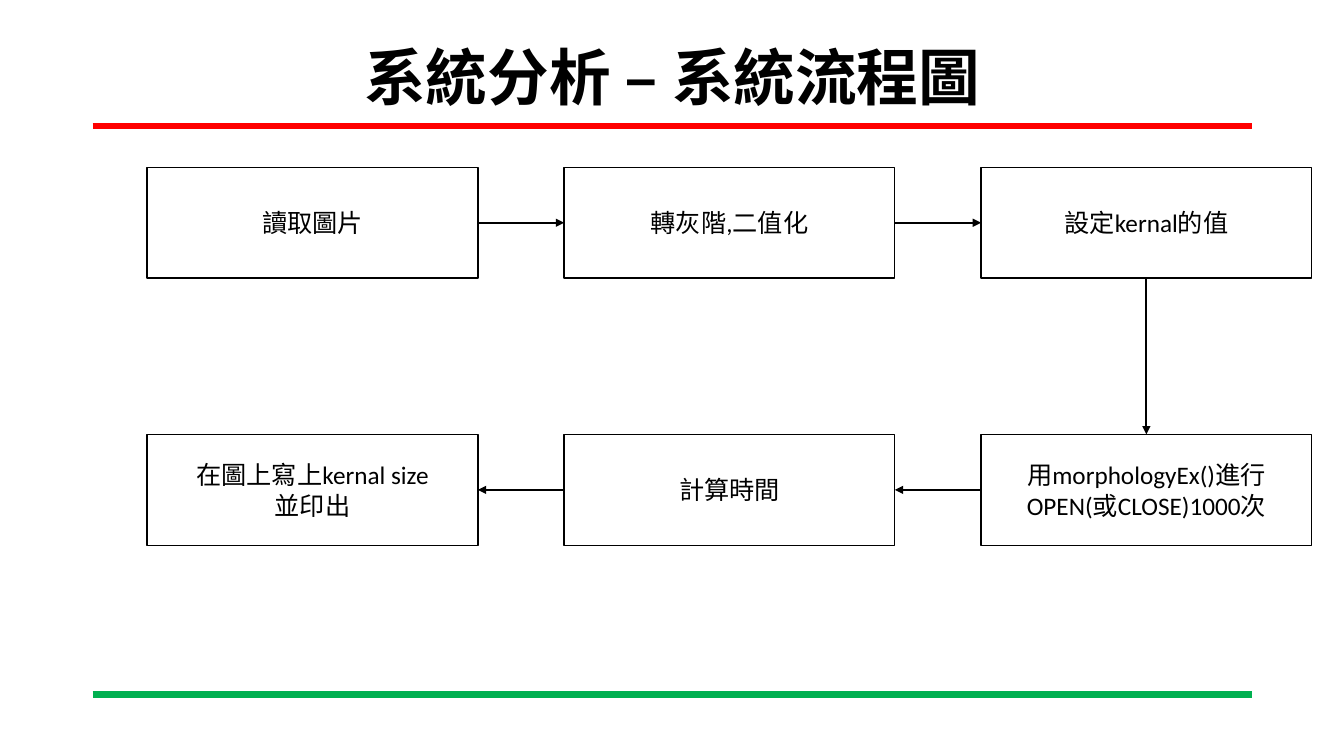
"""Build the system flowchart slide: six steps running out and back in two rows."""
from lxml import etree
from pptx import Presentation
from pptx.dml.color import RGBColor
from pptx.enum.shapes import MSO_CONNECTOR, MSO_SHAPE
from pptx.enum.text import MSO_ANCHOR, PP_ALIGN
from pptx.oxml.ns import qn
from pptx.util import Inches, Pt

STRAIGHT = MSO_CONNECTOR.STRAIGHT
RECTANGLE = MSO_SHAPE.RECTANGLE
MIDDLE = MSO_ANCHOR.MIDDLE
CENTER = PP_ALIGN.CENTER
TOP, LEFT, BOTTOM, RIGHT = range(4)

COLORS = {"ink": "000000", "paper": "FFFFFF", "header": "FF0000", "footer": "00B050"}


def add_line(start, end, color, width):
    line = slide.shapes.add_connector(STRAIGHT, *map(Inches, start + end))
    line.line.color.rgb = RGBColor.from_string(COLORS[color])
    line.line.width = Pt(width)
    etree.SubElement(line._element.spPr, qn("a:effectLst"))
    return line


def write_text(frame, text, font_name, size, bold=False):
    frame.word_wrap = True
    frame.vertical_anchor = MIDDLE
    frame.text = text
    for paragraph in frame.paragraphs:
        paragraph.alignment = CENTER
        paragraph.font.name = font_name
        paragraph.font.size = Pt(size)
        paragraph.font.bold = bold
        paragraph.font.color.rgb = RGBColor.from_string(COLORS["ink"])


prs = Presentation()
prs.slide_width = Inches(13.33)
prs.slide_height = Inches(7.5)
slide = prs.slides.add_slide(prs.slide_layouts[6])

for rule_y, rule_color in ((1.25, "header"), (6.89, "footer")):
    add_line((0.92, rule_y), (12.42, rule_y), rule_color, 4.5)

title = slide.shapes.add_textbox(Inches(0.92), Inches(0.4), Inches(11.5), Inches(0.79))
write_text(title.text_frame, "系統分析 – 系統流程圖", "Times New Roman", 44, bold=True)
title.text_frame.paragraphs[0].line_spacing = 0.9

STEP_WIDTH, STEP_HEIGHT = 3.28, 1.1
FIRST_X, COLUMN_PITCH = 1.46, 4.135
FIRST_Y, ROW_PITCH = 1.66, 2.65

step_texts = [
    ("讀取圖片", 0, 0),
    ("轉灰階,二值化", 1, 0),
    ("設定kernal的值", 2, 0),
    ("用morphologyEx()進行OPEN(或CLOSE)1000次", 2, 1),
    ("計算時間", 1, 1),
    ("在圖上寫上kernal size\n並印出", 0, 1),
]
steps = []
for text, column, row in step_texts:
    step = slide.shapes.add_shape(
        RECTANGLE,
        Inches(FIRST_X + column * COLUMN_PITCH),
        Inches(FIRST_Y + row * ROW_PITCH),
        Inches(STEP_WIDTH),
        Inches(STEP_HEIGHT),
    )
    step.shadow.inherit = False
    step.fill.solid()
    step.fill.fore_color.rgb = RGBColor.from_string(COLORS["paper"])
    step.line.color.rgb = RGBColor.from_string(COLORS["ink"])
    step.line.width = Pt(1)
    write_text(step.text_frame, text, "Calibri", 18)
    steps.append(step)

flow_sides = [(RIGHT, LEFT), (RIGHT, LEFT), (BOTTOM, TOP), (LEFT, RIGHT), (LEFT, RIGHT)]
for source, target, (exit_side, entry_side) in zip(steps, steps[1:], flow_sides):
    arrow = add_line((0, 0), (0, 0), "ink", 1.5)
    arrow.begin_connect(source, exit_side)
    arrow.end_connect(target, entry_side)
    etree.SubElement(arrow.line._get_or_add_ln(), qn("a:tailEnd"), type="triangle")

prs.save("out.pptx")
